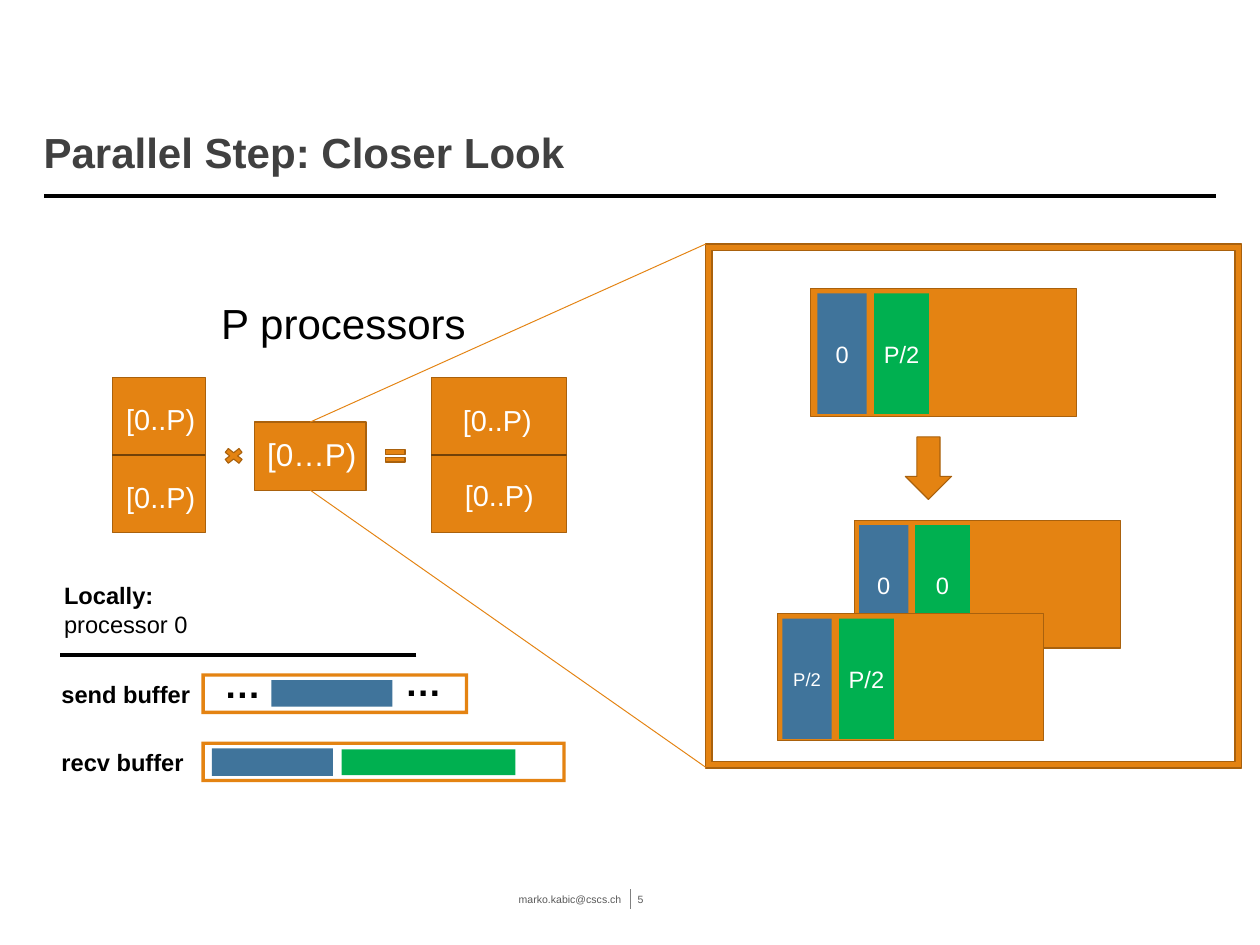
import pptx
import pptx.util
import pptx.dml.color
import pptx.enum.shapes
import pptx.enum.text
import pptx.oxml
import pptx.oxml.ns
from lxml import etree

Cm, Pt = pptx.util.Cm, pptx.util.Pt
KIND = pptx.enum.shapes.MSO_SHAPE
ALIGN = pptx.enum.text.PP_ALIGN
ANCHOR = pptx.enum.text.MSO_ANCHOR
HUES = {
    "orange": "E48312", "edge": "A9610D", "blue": "40749B",
    "green": "00B050", "black": "000000", "white": "FFFFFF",
    "title": "404040", "foot": "595959", "rule": "808080",
}


class Board:
    font = "Arial"

    def __init__(self, slide):
        self.slide = slide
        self.items = slide.shapes

    def hue(self, name):
        return pptx.dml.color.RGBColor.from_string(HUES[name])

    def label(self, frame, text, size, color, bold=False, align=ALIGN.LEFT):
        frame.text = text
        for para in frame.paragraphs:
            para.alignment = align
            for run in para.runs:
                font = run.font
                font.name, font.size, font.bold = self.font, Pt(size), bold
                font.color.rgb = self.hue(color)

    def shape(self, kind, left, top, width, height, fill="orange", edge="edge"):
        item = self.items.add_shape(kind, Cm(left), Cm(top), Cm(width), Cm(height))
        item.shadow.inherit = False
        item.fill.solid()
        item.fill.fore_color.rgb = self.hue(fill)
        if edge:
            item.line.color.rgb = self.hue(edge)
            item.line.width = Pt(0.85)
        else:
            item.line.fill.background()
        return item

    def box(self, left, top, width, height, **style):
        return self.shape(KIND.RECTANGLE, left, top, width, height, **style)

    def frame(self, left, top, width, height, ratio, edge=None):
        item = self.shape(KIND.FRAME, left, top, width, height, edge=edge)
        item.adjustments[0] = ratio

    def bar(self, left, top, width, height, fill, text="", size=18):
        item = self.box(left, top, width, height, fill=fill, edge=None)
        if text:
            body = item.text_frame
            body.margin_left = body.margin_right = 0
            body.vertical_anchor = ANCHOR.MIDDLE
            self.label(body, text, size, "white", align=ALIGN.CENTER)

    def block(self, left, top, blue, green, names, size=18, drop=0.13):
        self.box(left, top, 7.14, 3.43)
        self.bar(left + blue, top + drop, 1.32, 3.23, "blue", names[0], size)
        self.bar(left + green, top + drop, 1.47, 3.23, "green", names[1])

    def text(self, left, top, width, height, text, size, color="black", bold=False,
             align=ALIGN.LEFT, anchor=ANCHOR.TOP, pad=(0.25, 0.13, 0.25, 0.13)):
        item = self.items.add_textbox(Cm(left), Cm(top), Cm(width), Cm(height))
        body = item.text_frame
        body.word_wrap = True
        body.vertical_anchor = anchor
        body.margin_left, body.margin_top, body.margin_right, body.margin_bottom = map(Cm, pad)
        self.label(body, text, size, color, bold, align)
        return body

    def line(self, x1, y1, x2, y2, color="black", width=3, start=None, end=None, alpha=None):
        item = self.items.add_connector(
            pptx.enum.shapes.MSO_CONNECTOR.STRAIGHT, Cm(x1), Cm(y1), Cm(x2), Cm(y2))
        item.line.color.rgb = self.hue(color)
        item.line.width = Pt(width)
        if start:
            item.begin_connect(*start)
        if end:
            item.end_connect(*end)
        qn = pptx.oxml.ns.qn
        props = item._element.spPr
        if alpha:
            tint = props.find(".//" + qn("a:srgbClr"))
            etree.SubElement(tint, qn("a:alpha")).set("val", str(alpha * 1000))
        etree.SubElement(props, qn("a:effectLst"))


def main():
    deck = pptx.Presentation()
    deck.slide_width, deck.slide_height = Cm(33.83), Cm(25.37)
    board = Board(deck.slides.add_slide(deck.slide_layouts[6]))

    # Title
    board.text(1.17, 2.57, 31.45, 2.39, "Parallel Step: Closer Look", 32, "title", True,
               anchor=ANCHOR.BOTTOM, pad=(0, 0.13, 0, 0.2))
    board.line(1.19, 5.26, 32.64, 5.26)

    # Matrix product
    board.text(5.69, 7.85, 8.38, 1.63, "P processors", 32)
    for left, width in ((3.02, 2.49), (11.58, 3.63)):
        matrix = board.box(left, 10.13, width, 4.17)
        board.line(left, 12.22, left + width, 12.22, width=1.35,
                   start=(matrix, 1), end=(matrix, 3), alpha=50)
    middle = board.box(6.83, 11.33, 3, 1.83)
    board.shape(KIND.MATH_MULTIPLY, 5.92, 11.96, 0.71, 0.56)
    board.shape(KIND.MATH_EQUAL, 10.26, 11.96, 0.71, 0.56)
    board.text(6.73, 11.56, 3.28, 1.27, "[0…P)", 24, "white", align=ALIGN.CENTER)
    for left, top in ((2.92, 10.64), (2.92, 12.75), (11.96, 10.67), (12.01, 12.7)):
        board.text(left, top, 2.79, 1.19, "[0..P)", 22, "white", align=ALIGN.CENTER)

    # Zoomed view
    board.frame(18.95, 6.55, 14.38, 14.07, 0.012, "edge")
    for side, top, end in ((0, 11.33, 6.55), (2, 13.16, 20.6)):
        board.line(8.33, top, 18.95, end, "orange", 0.75, start=(middle, side))
    board.block(21.77, 7.75, 0.18, 1.7, ("0", "P/2"))
    board.shape(KIND.DOWN_ARROW, 24.31, 11.73, 1.24, 1.68)
    board.block(22.94, 13.97, 0.13, 1.63, ("0", "0"))
    board.block(20.88, 16.46, 0.13, 1.65, ("P/2", "P/2"), 14, 0.15)

    # Local buffers
    local = board.text(1.47, 15.47, 4.39, 1.8, "Locally:\nprocessor 0", 18)
    local.paragraphs[0].runs[0].font.bold = True
    board.line(11.18, 17.58, 1.6, 17.58)
    for top, name, width in ((18.08, "send buffer", 7.16), (19.91, "recv buffer", 9.78)):
        board.frame(5.41, top, width, 1.09, 0.082)
        board.text(1.4, top + 0.04, 4.04, 1.02, name, 18, bold=True)
    board.bar(7.29, 18.26, 3.25, 0.71, "blue")
    board.bar(5.69, 20.09, 3.25, 0.74, "blue")
    board.bar(9.17, 20.12, 4.67, 0.69, "green")
    for left, top in ((5.77, 17.63), (10.62, 17.58)):
        board.text(left, top, 1.6, 1.45, "…", 28, bold=True)

    # Footer
    board.line(16.92, 23.88, 16.92, 24.41, "rule", 0.75)
    board.text(5.46, 23.88, 11.43, 0.53, "marko.kabic@cscs.ch", 8, "foot",
               align=ALIGN.RIGHT, anchor=ANCHOR.MIDDLE, pad=(0, 0, 0.2, 0))
    board.text(16.92, 23.88, 1.07, 0.53, "5", 8, "foot",
               anchor=ANCHOR.MIDDLE, pad=(0.2, 0, 0, 0))

    deck.save("out.pptx")


if __name__ == "__main__":
    main()
